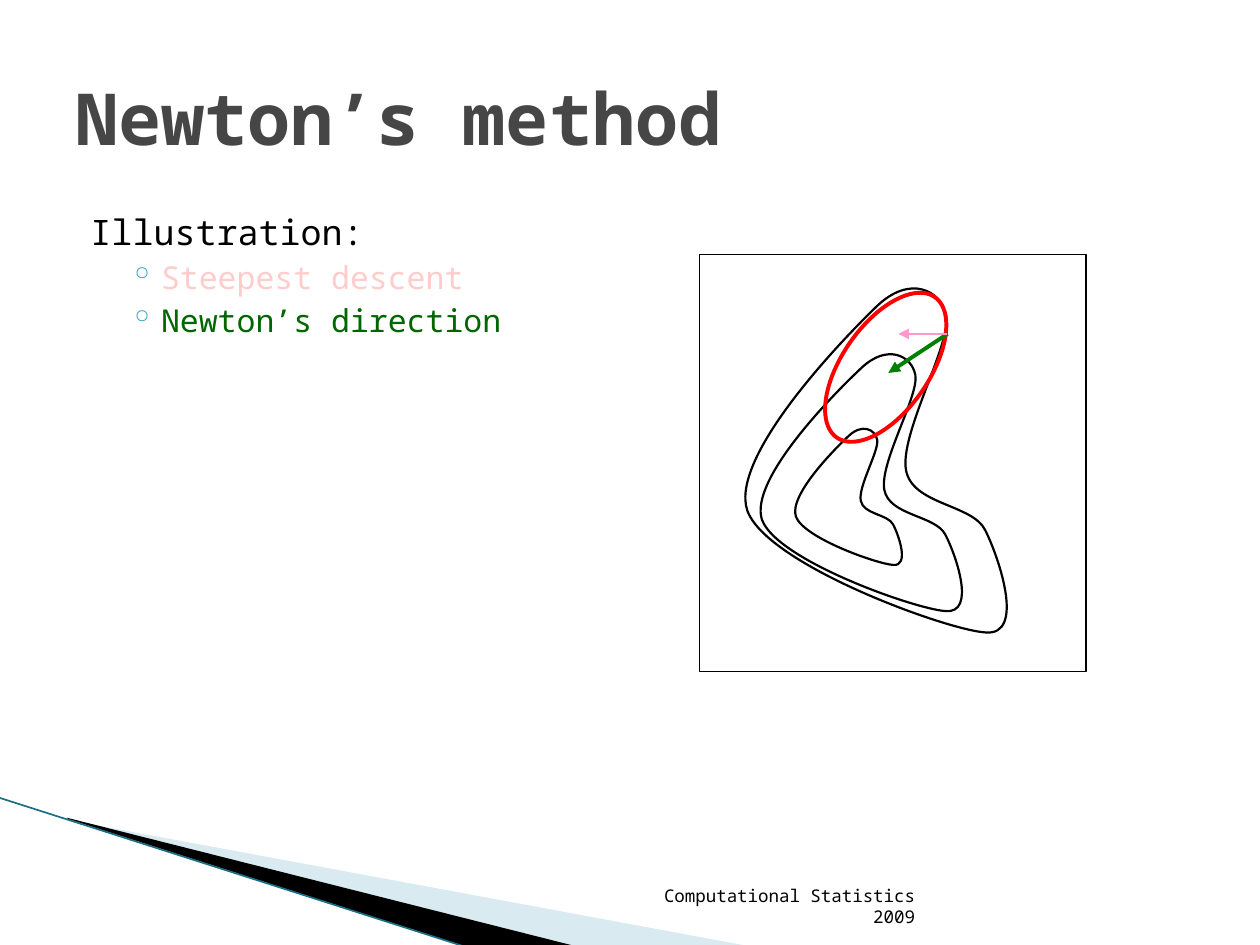
from lxml.etree import SubElement
from pptx import Presentation
from pptx.dml.color import RGBColor
from pptx.enum.shapes import MSO_CONNECTOR as Connector, MSO_SHAPE as Preset
from pptx.enum.text import MSO_ANCHOR as Anchor, MSO_AUTO_SIZE as AutoSize, PP_ALIGN as Align
from pptx.oxml.ns import qn
from pptx.util import Inches, Pt

FONT = "Noto Sans Mono"
WHITE = RGBColor(0xFF, 0xFF, 0xFF)
BLACK = RGBColor(0, 0, 0)
GRAY = RGBColor(0x46, 0x46, 0x46)
PINK_TEXT = RGBColor(0xFF, 0xCC, 0xCC)
GREEN_TEXT = RGBColor(0, 0x66, 0)
BULLET = RGBColor(0x2D, 0xA2, 0xBF)
PALE_BLUE = RGBColor(0xA0, 0xCB, 0xDC)
TEAL = RGBColor(0x1B, 0x6F, 0x85)
RED = RGBColor(0xFF, 0, 0)
GREEN = RGBColor(0, 0x80, 0)
PINK = RGBColor(0xFF, 0x99, 0xCC)

# Outer contour: its box, then a closed chain of cubic curves (three points each).
OUTER = (5.79, 2.18, 2.35, 2.88)
CONTOUR = [(6.96, 2.43),
           (6.69, 2.69), (5.79, 3.62), (5.93, 4.05),
           (6.08, 4.48), (7.51, 5.00), (7.82, 5.02),
           (8.14, 5.05), (7.93, 4.43), (7.82, 4.21),
           (7.72, 4.00), (7.24, 4.01), (7.19, 3.73),
           (7.14, 3.44), (7.55, 2.73), (7.51, 2.51),
           (7.47, 2.30), (7.22, 2.18), (6.96, 2.43)]


def set_values(target, values):
    """Set each named attribute of the target."""
    for name, value in values.items():
        setattr(target, name, value)


def paint(shape, fill=None, line=None, width=0.75):
    """Give a shape a plain fill and line, without shadow."""
    shape.shadow.inherit = False
    if fill is None:
        shape.fill.background()
    else:
        shape.fill.solid()
        shape.fill.fore_color.rgb = fill
    if line is None:
        shape.line.fill.background()
    else:
        shape.line.color.rgb = line
        shape.line.width = Pt(width)


def add_outline(page, points):
    """Build a closed freeform through points given in inches."""
    corners = [(Inches(x), Inches(y)) for x, y in points]
    builder = page.shapes.build_freeform(*corners[0])
    builder.add_line_segments(corners[1:], close=True)
    return builder.convert_to_shape()


def bend(outline):
    """Turn every three straight segments of an outline into one cubic curve."""
    segments = list(outline._element.iter(qn("a:lnTo")))
    for first in range(0, len(segments) - 2, 3):
        start, *others = segments[first:first + 3]
        curve = start.makeelement(qn("a:cubicBezTo"))
        start.addprevious(curve)
        for segment in (start, *others):
            curve.append(segment[0])
            segment.getparent().remove(segment)


def add_line(page, start, end, color, width, arrow=False):
    """Draw a straight line, with an arrowhead at its end if asked."""
    line = page.shapes.add_connector(
        Connector.STRAIGHT, *(Inches(value) for value in start + end))
    line.line.color.rgb = color
    line.line.width = Pt(width)
    if arrow:
        SubElement(line.line._get_or_add_ln(), qn("a:tailEnd"), type="triangle")
    SubElement(line._element.spPr, qn("a:effectLst"))


def write(para, text, size, color, bold=False):
    """Put one formatted run in a paragraph."""
    span = para.add_run()
    span.text = text
    set_values(span.font, {"name": FONT, "size": Pt(size), "bold": bold})
    span.font.color.rgb = color


def add_text_box(page, box):
    """Add a wrapping text box and return its frame."""
    frame = page.shapes.add_textbox(*(Inches(value) for value in box)).text_frame
    frame.word_wrap = True
    return frame


def set_indent(para, left, hanging, bullet=None):
    """Set the hanging indent and an optional coloured bullet."""
    props = para._p.get_or_add_pPr()
    props.set("marL", str(Inches(left)))
    props.set("indent", str(-Inches(hanging)))
    if bullet:
        color = SubElement(props, qn("a:buClr"))
        SubElement(color, qn("a:srgbClr"), val=str(BULLET))
        SubElement(props, qn("a:buChar"), char=bullet)


def add_corner(page, left, top):
    """Draw the wedges and the line in the lower left corner."""
    wedges = [
        ([(0.55, 0.18), (5.95, 1.18), (4.56, 1.18), (0.55, 0.17)], PALE_BLUE, 40),
        ([(0.53, 0.16), (4.57, 1.18), (3.72, 1.19), (0.54, 0.17)], BLACK, 100)]
    for points, color, opacity in wedges:
        wedge = add_outline(page, [(left + x, top + y) for x, y in points])
        paint(wedge, color)
        if opacity < 100:
            shade = wedge._element.spPr.find(qn("a:solidFill"))[0]
            SubElement(shade, qn("a:alpha"), val=str(opacity * 1000))
    add_line(page, (left - 0.01, top), (left + 3.71, top + 1.19), TEAL, 0.95)


def add_title(page, box, text):
    """Place and format the title placeholder."""
    title = page.shapes.title
    set_values(title, dict(zip(("left", "top", "width", "height"), map(Inches, box))))
    frame = title.text_frame
    set_values(frame, {"vertical_anchor": Anchor.MIDDLE, "auto_size": AutoSize.NONE})
    frame.paragraphs[0].alignment = Align.LEFT
    write(frame.paragraphs[0], text, 41, GRAY, bold=True)


def add_body(page, box, heading, items):
    """Write the heading and its bulleted items."""
    frame = add_text_box(page, box)
    para = frame.paragraphs[0]
    para.space_before = Pt(4)
    set_indent(para, 0.4, 0.28)
    write(para, heading, 20, BLACK)
    for text, color in items:
        para = frame.add_paragraph()
        set_values(para, {"level": 1, "space_before": Pt(3.2)})
        set_indent(para, 0.68, 0.25, "\u25e6")
        write(para, text, 18, color)


def add_footer(page, box, text):
    """Write the right-aligned footer."""
    frame = add_text_box(page, box)
    frame.vertical_anchor = Anchor.BOTTOM
    frame.paragraphs[0].alignment = Align.RIGHT
    write(frame.paragraphs[0], text, 10, BLACK)


def add_contour(page, box):
    """Draw the contour scaled into a box."""
    left, top, width, height = box
    points = [(left + (x - OUTER[0]) * width / OUTER[2],
               top + (y - OUTER[1]) * height / OUTER[3]) for x, y in CONTOUR]
    contour = add_outline(page, points)
    bend(contour)
    paint(contour, line=BLACK, width=1.25)


def add_diagram(page, left, top):
    """Draw the framed contours, the local ellipse and both directions."""
    frame = page.shapes.add_shape(
        Preset.RECTANGLE, *map(Inches, (left, top, 3.07, 3.31)))
    paint(frame, WHITE, BLACK)
    for x, y, width, height in ((0.24, 0.16, 2.35, 2.88),
                                (0.39, 0.71, 1.81, 2.15),
                                (0.71, 1.34, 0.96, 1.14)):
        add_contour(page, (left + x, top + y, width, height))
    ellipse = page.shapes.add_shape(
        Preset.OVAL, *map(Inches, (left + 0.8, top + 0.55, 1.36, 0.69)))
    ellipse.rotation = 304.9
    paint(ellipse, line=RED, width=2.25)
    start = (left + 1.97, top + 0.63)
    add_line(page, start, (left + 1.5, top + 0.94), GREEN, 2.25, arrow=True)
    add_line(page, start, (left + 1.58, top + 0.63), PINK, 0.75, arrow=True)


def main():
    """Build and save the deck."""
    deck = Presentation()
    set_values(deck, {"slide_width": Inches(10), "slide_height": Inches(7.5)})
    page = deck.slides.add_slide(deck.slide_layouts[5])
    add_corner(page, 0, 6.33)
    add_body(page, (0.5, 1.62, 9, 4.95), "Illustration:",
             [("Steepest descent", PINK_TEXT), ("Newton\u2019s direction", GREEN_TEXT)])
    add_footer(page, (4.79, 7.01, 2.57, 0.4), "Computational Statistics 2009")
    add_title(page, (0.5, 0.3, 9, 1.25), "Newton\u2019s method")
    add_diagram(page, 5.55, 2.02)
    deck.save("out.pptx")


main()
